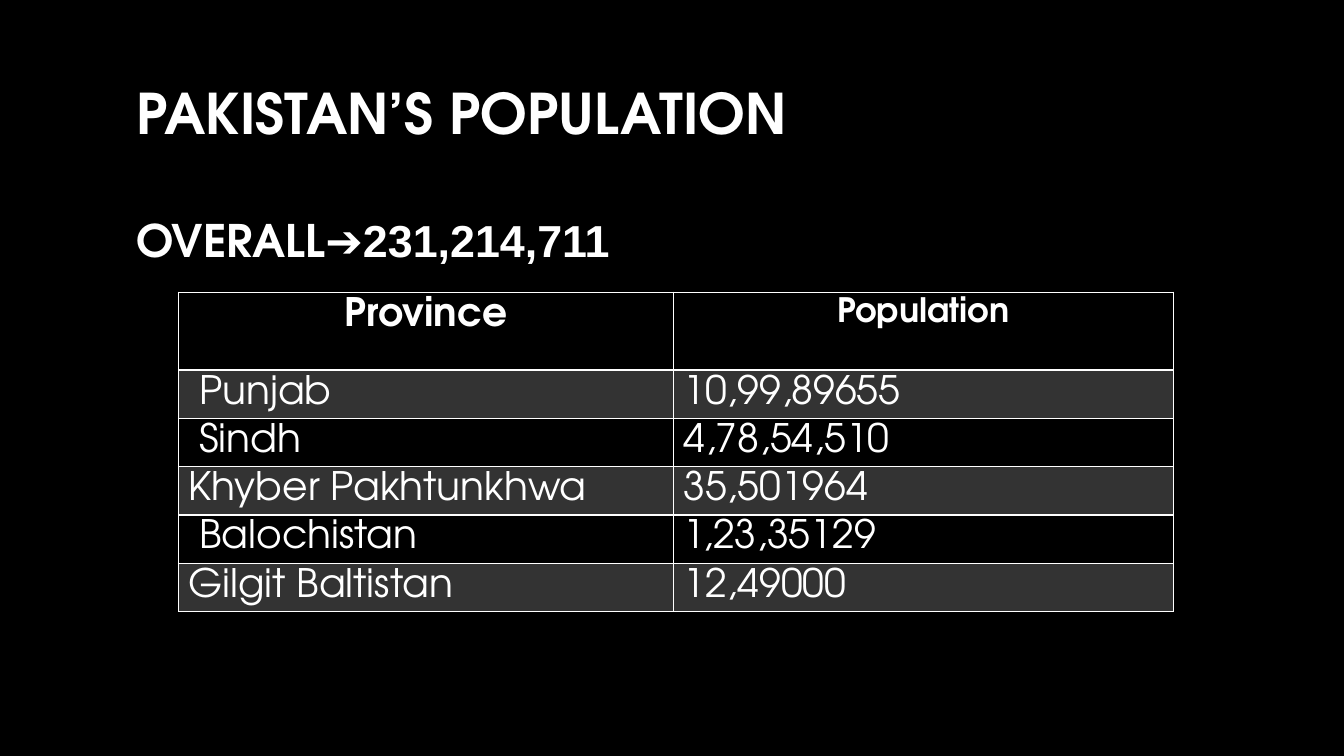
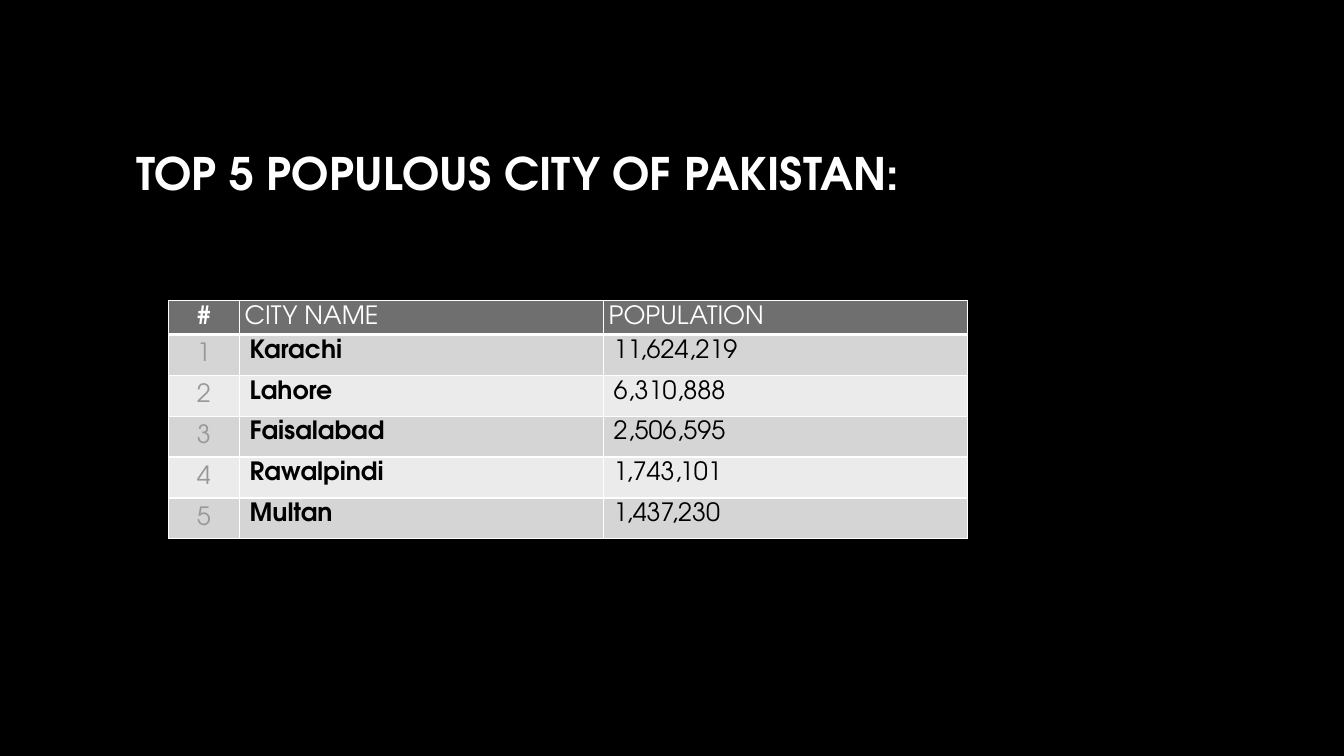
"""Two slides of tables on the population of Pakistan."""
from lxml.etree import SubElement
from pptx import Presentation
from pptx.dml.color import RGBColor
from pptx.enum.text import MSO_ANCHOR, PP_ALIGN
from pptx.oxml.ns import qn
from pptx.util import Pt

FACE = "TeX Gyre Adventor"
HUES = {"ink": "000000", "white": "FFFFFF", "stripe": "333333", "head": "6F6F6F",
        "dark": "D5D5D5", "light": "EBEBEB", "rank": "999999"}
LEFT, MID = PP_ALIGN.LEFT, PP_ALIGN.CENTER


def write(para, text, size, hue="white", bold=False, align=LEFT, face=FACE):
    para.alignment = align
    run = para.add_run()
    run.text = text
    look = {"name": face, "size": Pt(size), "bold": bold}
    for key, value in look.items():
        setattr(run.font, key, value)
    run.font.color.rgb = RGBColor.from_string(HUES[hue])


def dress(cell, fill, base, margins, anchor=MSO_ANCHOR.TOP):
    sides = ("margin_left", "margin_top", "margin_right", "margin_bottom")
    for side, size in zip(sides, margins):
        setattr(cell, side, Pt(size))
    cell.vertical_anchor = anchor
    props = cell._tc.get_or_add_tcPr()
    for tag, width in (("a:lnL", 1), ("a:lnR", 1), ("a:lnT", 1), ("a:lnB", base)):
        line = SubElement(props, qn(tag), w=str(Pt(width)))
        paint = SubElement(line, qn("a:solidFill"))
        SubElement(paint, qn("a:srgbClr"), val=HUES["white"])
    cell.fill.solid()
    cell.fill.fore_color.rgb = RGBColor.from_string(HUES[fill])


deck = Presentation()
deck.slide_width, deck.slide_height = Pt(960), Pt(540)
back = deck.slide_master.background.fill
back.solid()
back.fore_color.rgb = RGBColor.from_string(HUES["ink"])
layout = deck.slide_layouts[5]
frame = {"left": 90, "top": 48, "width": 780, "height": 150}
for key, value in frame.items():
    setattr(layout.placeholders[0], key, Pt(value))

slides = []
grids = []
for left, top, widths, heights in (
    (127.5, 208.8, (353.5, 357), [55.6] + [34.5] * 5),
    (120.2, 214.6, (51, 260, 260), [24.3] + [29.2] * 5),
):
    slide = deck.slides.add_slide(layout)
    slide.shapes.title.text_frame.vertical_anchor = MSO_ANCHOR.MIDDLE
    slides.append(slide)
    shape = slide.shapes.add_table(len(heights), len(widths), Pt(left), Pt(top),
                                   Pt(sum(widths)), Pt(sum(heights)))
    grid = shape.table
    for col, width in zip(grid.columns, widths):
        col.width = Pt(width)
    for row, height in zip(grid.rows, heights):
        row.height = Pt(height)
    grids.append(grid)

title = slides[0].shapes.title.text_frame
write(title.paragraphs[0], "PAKISTAN’S POPULATION", 40, bold=True)
total = title.add_paragraph()
total.space_before = Pt(48)
write(total, "OVERALL➔", 32, bold=True)
write(total, "231,214,711", 32, bold=True, face="Arial")

for col, (text, size) in enumerate((("Province", 28), ("Population", 24))):
    cell = grids[0].cell(0, col)
    dress(cell, "ink", 2, (7.2, 3.6, 7.2, 3.6))
    write(cell.text_frame.paragraphs[0], text, size, bold=True, align=MID)

people = (
    ("Punjab", "10,99,89655", 15),
    ("Sindh", "4,78,54,510", 15),
    ("Khyber Pakhtunkhwa", "35,501964", 7.2),
    ("Balochistan", "1,23,35129", 15),
    ("Gilgit Baltistan", "12,49000", 7.2),
)
for row, (place, count, inset) in enumerate(people, 1):
    fill = "stripe" if row % 2 else "ink"
    for col, (text, edge) in enumerate(((place, inset), (count, 7.2))):
        cell = grids[0].cell(row, col)
        dress(cell, fill, 1, (edge, 3.6, 7.2, 3.6))
        write(cell.text_frame.paragraphs[0], text, 28)

title = slides[1].shapes.title.text_frame
write(title.paragraphs[0], "TOP 5 POPULOUS CITY OF PAKISTAN:", 32, bold=True)

for col, text in enumerate(("#", "CITY NAME", "POPULATION")):
    cell = grids[1].cell(0, col)
    dress(cell, "head", 3, (3.6,) * 4, MSO_ANCHOR.BOTTOM)
    write(cell.text_frame.paragraphs[0], text, 18, bold=col == 0,
          align=LEFT if col else MID)

cities = (
    ("Karachi", "11,624,219"),
    ("Lahore", "6,310,888"),
    ("Faisalabad", "2,506,595"),
    ("Rawalpindi", "1,743,101"),
    ("Multan", "1,437,230"),
)
styles = (
    ("rank", False, MID, 3.6, MSO_ANCHOR.MIDDLE),
    ("ink", True, LEFT, 7.2, MSO_ANCHOR.TOP),
    ("ink", False, LEFT, 7.2, MSO_ANCHOR.TOP),
)
for row, (city, count) in enumerate(cities, 1):
    fill = "dark" if row % 2 else "light"
    for col, text in enumerate((str(row), city, count)):
        hue, bold, align, edge, anchor = styles[col]
        cell = grids[1].cell(row, col)
        dress(cell, fill, 1, (edge, 3.6, 3.6, 3.6), anchor)
        write(cell.text_frame.paragraphs[0], text, 18, hue, bold, align)

deck.save("out.pptx")
